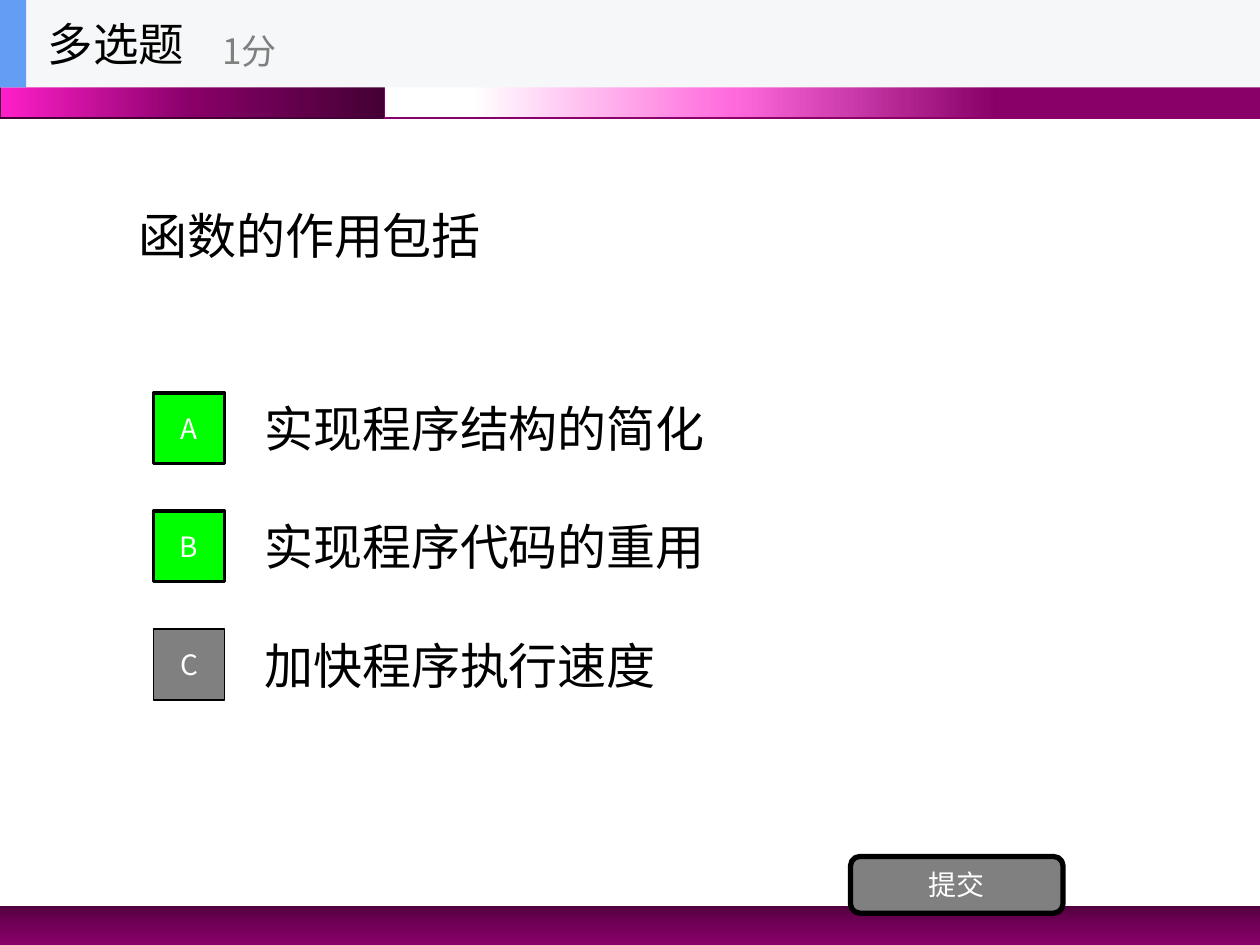
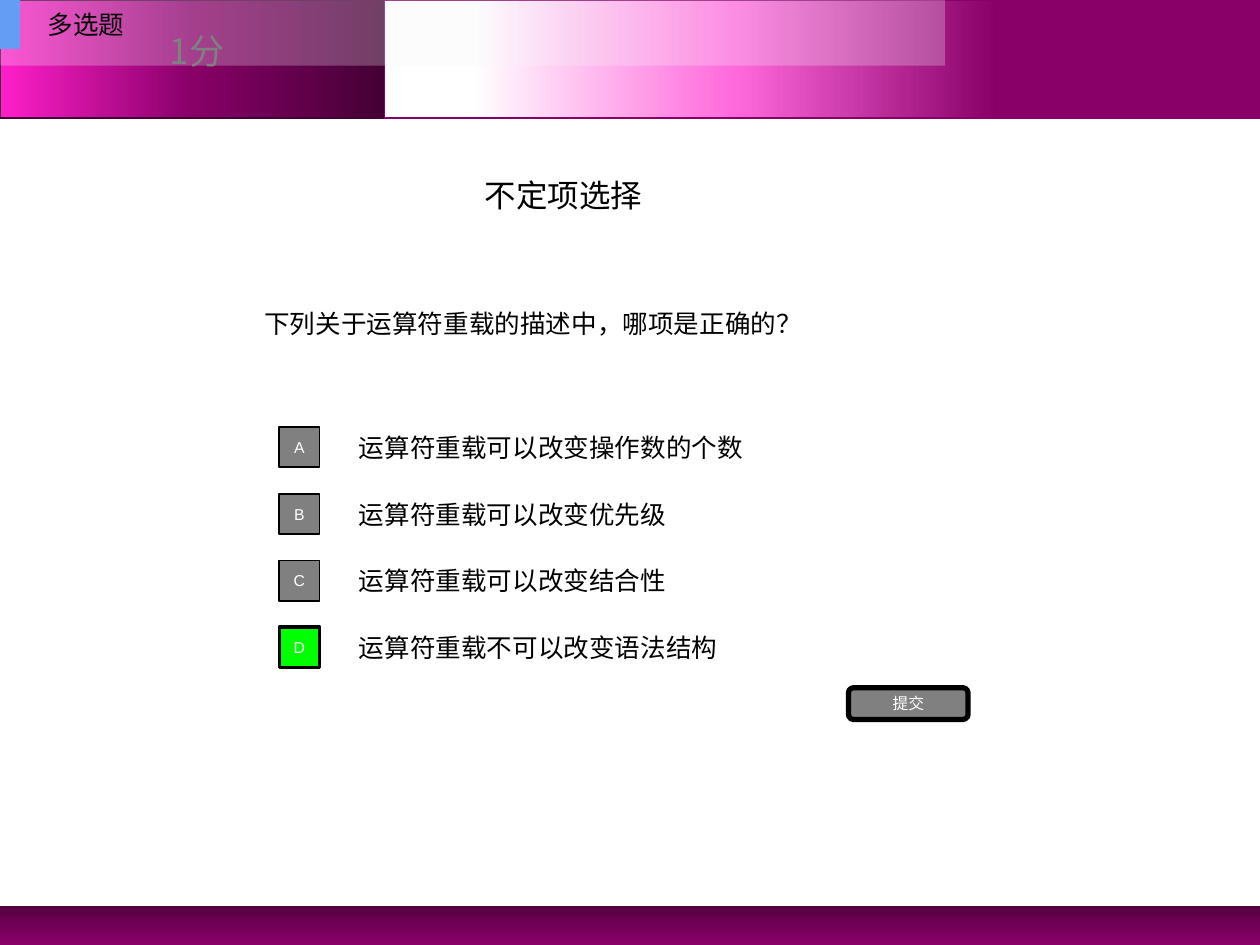
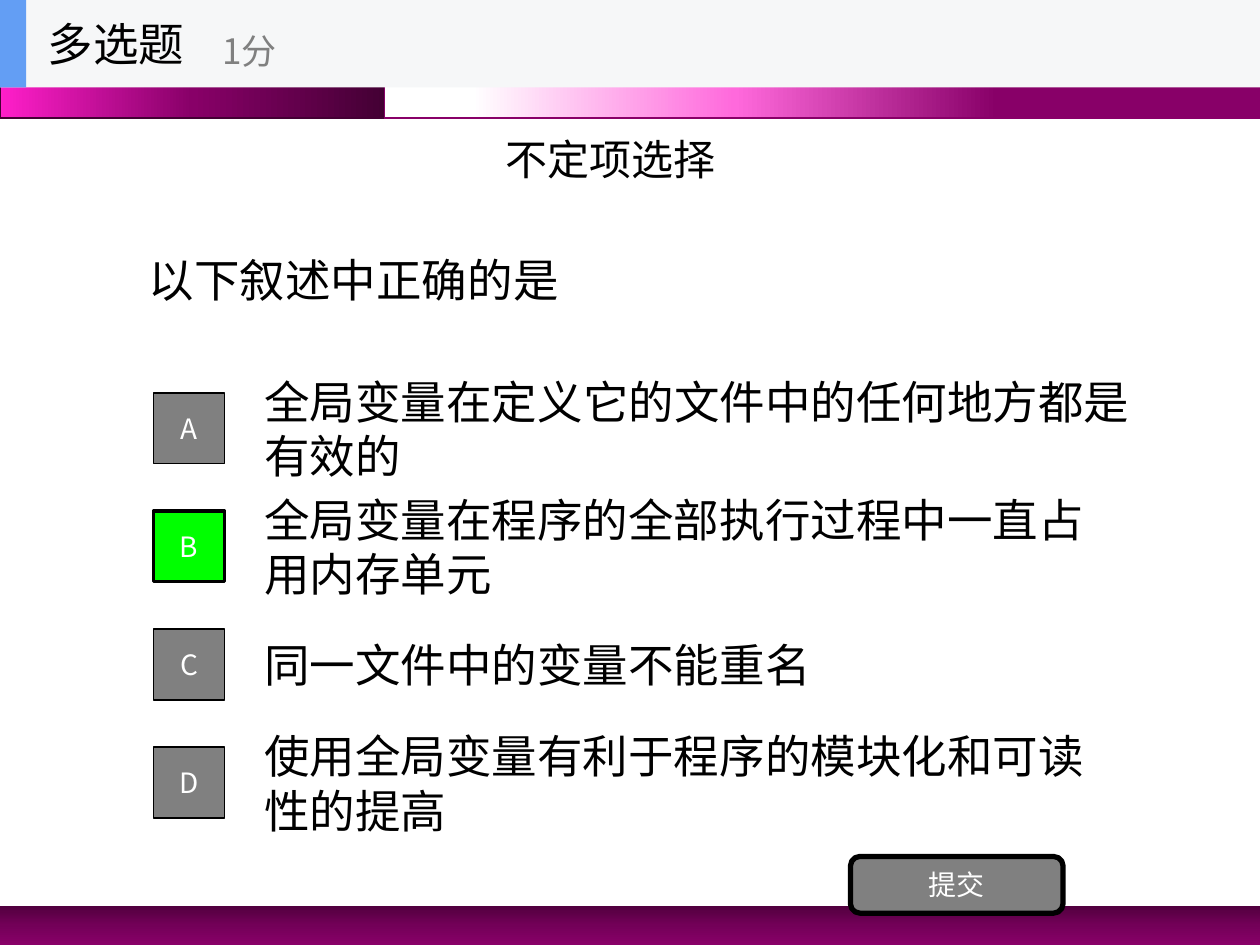
from dataclasses import dataclass
from typing import NamedTuple, Optional

from lxml import etree
from pptx import Presentation
from pptx.dml.color import RGBColor
from pptx.enum import shapes, text
from pptx.oxml import ns
from pptx.util import Pt

COLORS = {
    "black": "000000", "white": "FFFFFF", "grey": "808080", "correct": "00FF00",
    "header": "F6F7F8", "accent": "639EF4",
    "plum": "880068", "dark plum": "440034", "footer top": "51003E",
    "footer middle": "730058", "magenta": "FF1FCA", "pink": "FF69DC",
}
ARIAL, NOTO = "Arial", "Noto Sans CJK SC"
LEFT, CENTER = text.PP_ALIGN.LEFT, text.PP_ALIGN.CENTER
MIDDLE, TOP = text.MSO_ANCHOR.MIDDLE, text.MSO_ANCHOR.TOP
RECT, ROUNDED = shapes.MSO_SHAPE.RECTANGLE, shapes.MSO_SHAPE.ROUNDED_RECTANGLE


class Box(NamedTuple):
    left: float
    top: float
    width: float
    height: float


class TextStyle(NamedTuple):
    size: float
    font: str
    color: str = "black"
    align: text.PP_ALIGN = LEFT
    anchor: text.MSO_ANCHOR = MIDDLE


class Band(NamedTuple):
    box: Box
    angle: float
    stops: tuple[tuple[int, str], ...]
    line: Optional[str] = None


class Option(NamedTuple):
    answer: str
    correct: bool = False
    width: Optional[float] = None


@dataclass(frozen=True)
class Design:
    """Measures of one quiz page, in points."""
    header: Box
    header_opacity: int
    accent: Box
    title: Box
    title_style: TextStyle
    score: Box
    first_answer: Box
    pitch: float
    badge_left: float
    badge_side: float
    button: Box
    label_style: TextStyle


@dataclass(frozen=True)
class Quiz:
    design: Design
    question: str
    question_box: Box
    body_style: TextStyle
    options: tuple[Option, ...]
    caption_box: Optional[Box] = None
    caption_size: float = 24


# Shared bands
BANDS = (
    Band(Box(0, 517.5, 720, 22.5), 270,
         ((0, "footer top"), (50, "footer middle"), (100, "plum"))),
    Band(Box(0, 0, 219.75, 67.5), 180,
         ((0, "dark plum"), (50, "plum"), (100, "magenta")), "dark plum"),
    Band(Box(219.75, 0, 500.25, 67.5), 180,
         ((30, "plum"), (60, "pink"), (90, "white")), "plum"),
)

# Page designs
SCORE_STYLE = TextStyle(20, NOTO, "grey")
LARGE = Design(
    header=Box(0, 0, 720, 50), header_opacity=100, accent=Box(0, 0, 15, 50),
    title=Box(20, 0, 150, 50), title_style=TextStyle(26, NOTO),
    score=Box(120, 9, 180, 40),
    first_answer=Box(144, 219.4, 504, 50.6), pitch=67.5,
    badge_left=87.75, badge_side=40.5, button=Box(486, 489.4, 121.5, 32.4),
    label_style=TextStyle(16, NOTO, "white", CENTER))
SMALL = Design(
    header=Box(0, 0, 540, 37.5), header_opacity=26, accent=Box(0, 0, 11.5, 28),
    title=Box(20, 0, 71.5, 28), title_style=TextStyle(14.6, ARIAL),
    score=Box(90, 9, 180, 40),
    first_answer=Box(198, 241.3, 378, 28.6), pitch=38.1,
    badge_left=159.6, badge_side=23, button=Box(484.8, 393, 68.4, 18.2),
    label_style=TextStyle(9, ARIAL, "white", CENTER))

# Questions
QUIZZES = (
    Quiz(LARGE, "函数的作用包括", Box(72, 50, 576, 168.5), TextStyle(28, ARIAL),
         (Option("实现程序结构的简化", True),
          Option("实现程序代码的重用", True),
          Option("加快程序执行速度"))),
    Quiz(SMALL, "下列关于运算符重载的描述中，哪项是正确的？",
         Box(144, 137, 432, 95), TextStyle(14.6, ARIAL),
         (Option("运算符重载可以改变操作数的个数"),
          Option("运算符重载可以改变优先级"),
          Option("运算符重载可以改变结合性"),
          Option("运算符重载不可以改变语法结构", True)),
         Box(270, 97, 220, 29), 18),
    Quiz(LARGE, "以下叙述中正确的是", Box(78, 75.5, 576, 168.5), TextStyle(26, NOTO),
         (Option("全局变量在定义它的文件中的任何地方都是有效的", width=526.3),
          Option("全局变量在程序的全部执行过程中一直占用内存单元", True),
          Option("同一文件中的变量不能重名"),
          Option("使用全局变量有利于程序的模块化和可读性的提高")),
         Box(282, 72.5, 204, 36)),
)


def rgb(name: str) -> RGBColor:
    return RGBColor.from_string(COLORS[name])


def points(box: Box) -> list[Pt]:
    return [Pt(length) for length in box]


def write(shape, words: str, style: TextStyle) -> None:
    frame = shape.text_frame
    frame.word_wrap = True
    frame.auto_size = text.MSO_AUTO_SIZE.NONE
    frame.vertical_anchor = style.anchor
    paragraph = frame.paragraphs[0]
    paragraph.text = words
    paragraph.alignment = style.align
    font = paragraph.font
    font.size, font.name = Pt(style.size), style.font
    font.color.rgb = rgb(style.color)


def add_text(slide, box: Box, words: str, style: TextStyle) -> None:
    write(slide.shapes.add_textbox(*points(box)), words, style)


def add_block(slide, box: Box, fill: Optional[str] = None, line: Optional[str] = None,
              weight: float = 1, kind: shapes.MSO_SHAPE = RECT):
    block = slide.shapes.add_shape(kind, *points(box))
    block.shadow.inherit = False
    if fill:
        block.fill.solid()
        block.fill.fore_color.rgb = rgb(fill)
    if line:
        block.line.color.rgb = rgb(line)
        block.line.width = Pt(weight)
    else:
        block.line.fill.background()
    return block


def add_label(slide, box: Box, words: str, style: TextStyle, fill: str,
              weight: float, kind: shapes.MSO_SHAPE = RECT) -> None:
    label = add_block(slide, box, fill, "black", weight, kind)
    frame = label.text_frame
    frame.margin_left = frame.margin_right = frame.margin_top = frame.margin_bottom = 0
    write(label, words, style)


def set_opacity(block, percent: int) -> None:
    color = block.fill._xPr.find(ns.qn("a:solidFill"))[0]
    etree.SubElement(color, ns.qn("a:alpha"), val=str(percent * 1000))


def add_band(slide, band: Band):
    block = add_block(slide, band.box, line=band.line)
    block.fill.gradient()
    block.fill.gradient_angle = band.angle
    stops = block.fill._xPr.find(f".//{ns.qn('a:gsLst')}")
    for stop in list(stops):
        stops.remove(stop)
    for position, color in band.stops:
        stop = etree.SubElement(stops, ns.qn("a:gs"), pos=str(position * 1000))
        etree.SubElement(stop, ns.qn("a:srgbClr"), val=COLORS[color])
    return block


def share_bands(layout, slide) -> None:
    """Place the bands on the layout, so that every slide shows them."""
    for holder in list(layout.placeholders):
        if holder.placeholder_format.type != shapes.PP_PLACEHOLDER.TITLE:
            holder._element.getparent().remove(holder._element)
    for band in BANDS:
        layout.shapes._spTree.append(add_band(slide, band)._element)


def add_options(slide, quiz: Quiz) -> None:
    design = quiz.design
    first = design.first_answer
    inset = (first.height - design.badge_side) / 2
    for row, (letter, option) in enumerate(zip("ABCD", quiz.options)):
        top = first.top + row * design.pitch
        answer_box = first._replace(top=top, width=option.width or first.width)
        add_text(slide, answer_box, option.answer, quiz.body_style)
        badge = Box(design.badge_left, top + inset, design.badge_side, design.badge_side)
        fill, weight = ("correct", 2) if option.correct else ("grey", 1)
        add_label(slide, badge, letter, design.label_style, fill, weight)


def add_header(slide, design: Design) -> None:
    header = add_block(slide, design.header, "header")
    if design.header_opacity < 100:
        set_opacity(header, design.header_opacity)
    add_block(slide, design.accent, "accent")
    title = slide.shapes.title
    title.left, title.top, title.width, title.height = points(design.title)
    write(title, "多选题", design.title_style)
    slide.shapes._spTree.append(title._element)  # bring in front of the header
    add_text(slide, design.score, "1分", SCORE_STYLE)


def fill_slide(slide, quiz: Quiz) -> None:
    design = quiz.design
    add_text(slide, quiz.question_box, quiz.question, quiz.body_style)
    add_options(slide, quiz)
    add_label(slide, design.button, "提交", design.label_style, "grey", 3, ROUNDED)
    if quiz.caption_box:
        add_text(slide, quiz.caption_box, "不定项选择",
                 TextStyle(quiz.caption_size, ARIAL, anchor=TOP))
    add_header(slide, design)


def main() -> None:
    deck = Presentation()
    deck.slide_width, deck.slide_height = Pt(720), Pt(540)
    layout = deck.slide_layouts.get_by_name("Title Only")
    for number, quiz in enumerate(QUIZZES):
        slide = deck.slides.add_slide(layout)
        if number == 0:
            share_bands(layout, slide)
        fill_slide(slide, quiz)
    deck.save("out.pptx")


if __name__ == "__main__":
    main()
